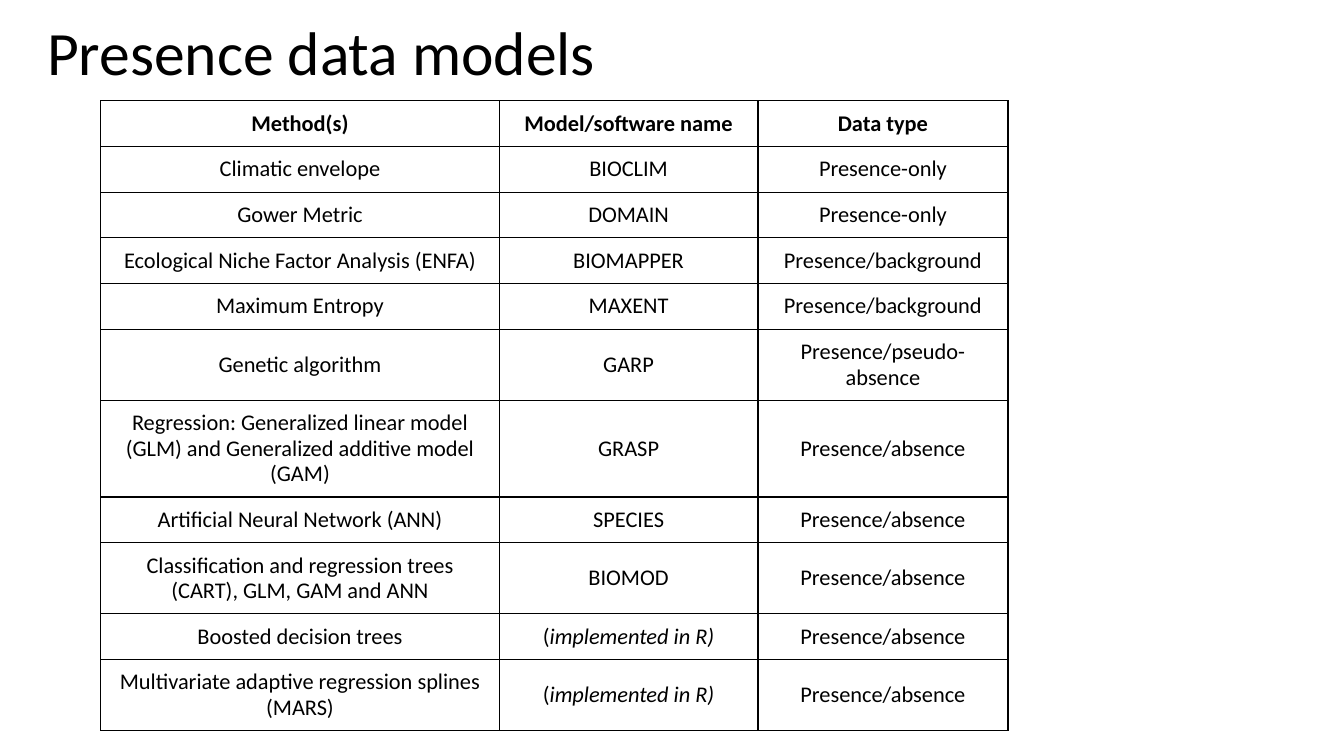
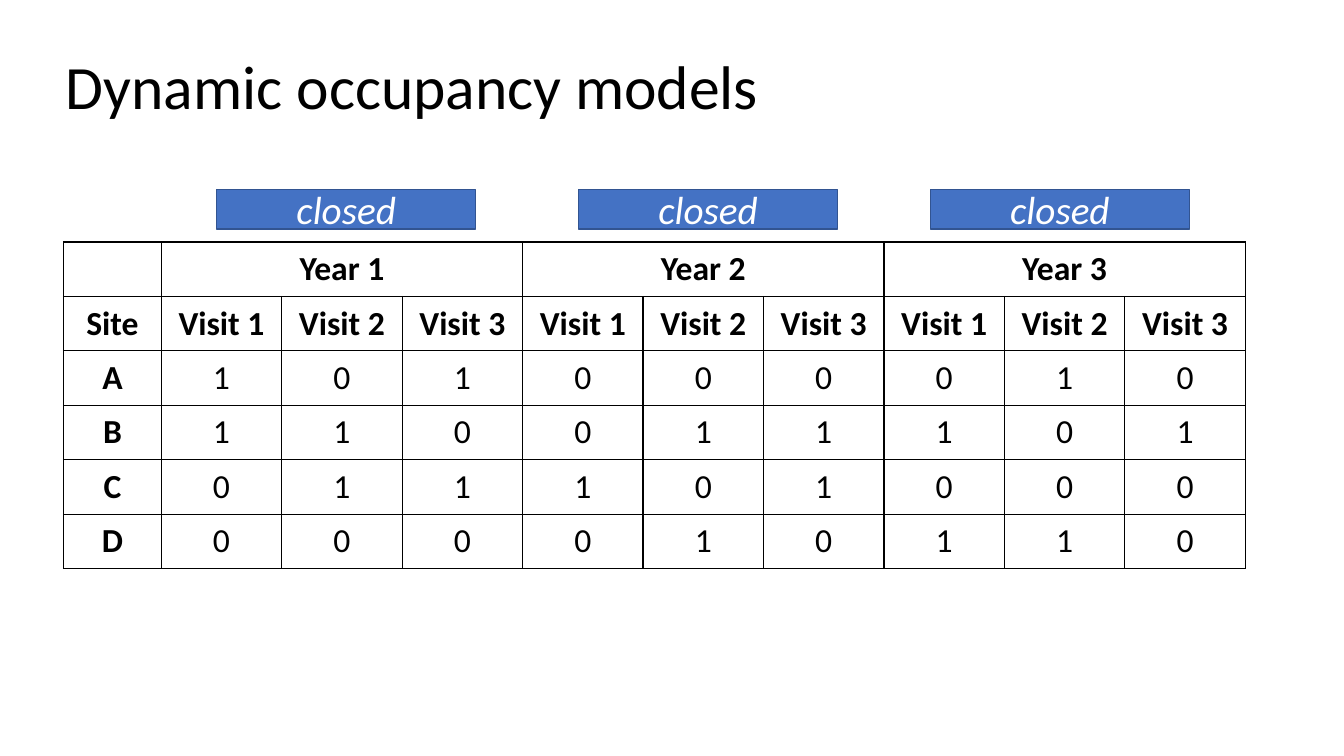
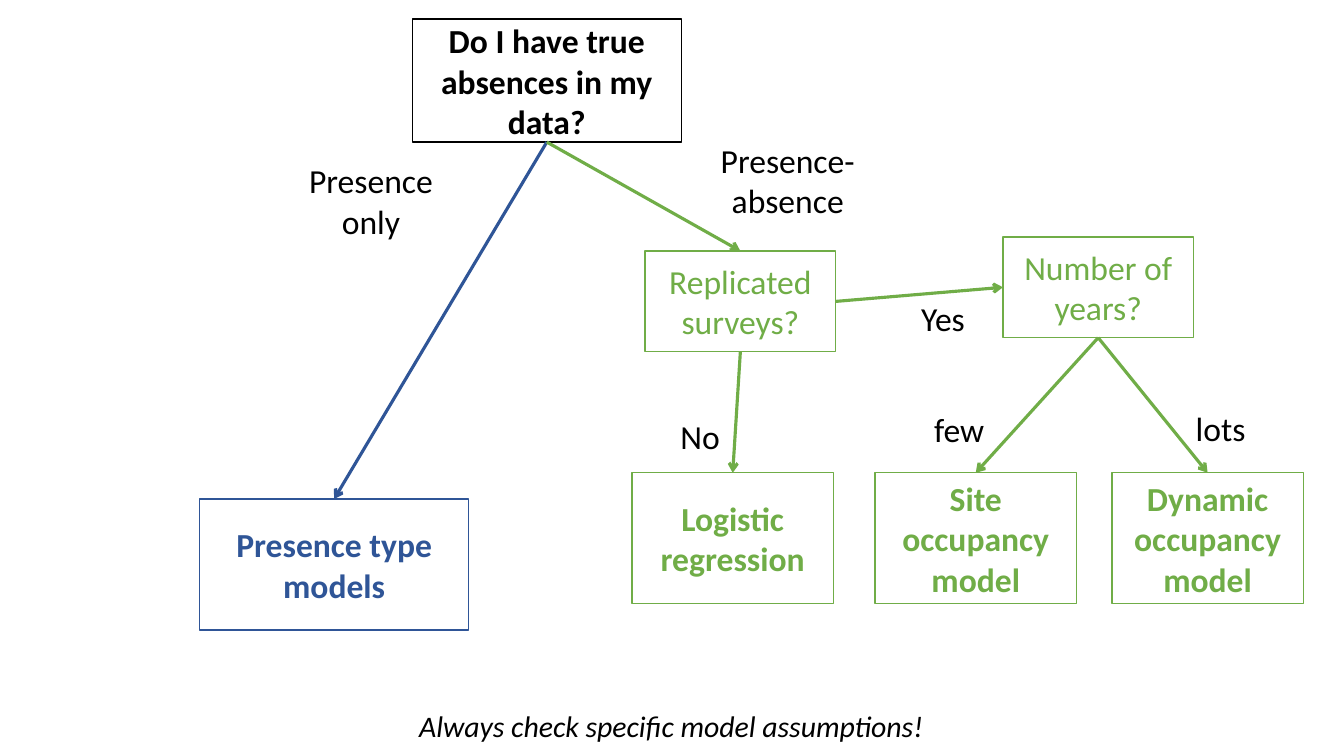
from lxml.etree import SubElement
from pptx import Presentation
from pptx.dml.color import RGBColor
from pptx.enum.shapes import MSO_CONNECTOR, MSO_SHAPE
from pptx.enum.text import MSO_ANCHOR, MSO_AUTO_SIZE, PP_ALIGN
from pptx.oxml import parse_xml
from pptx.oxml.ns import nsdecls, qn
from pptx.util import Pt

BLACK = RGBColor(0x00, 0x00, 0x00)
WHITE = RGBColor(0xFF, 0xFF, 0xFF)
BLUE = RGBColor(0x44, 0x72, 0xC4)
EDGE = RGBColor(0x32, 0x54, 0x91)
NAVY = RGBColor(0x2F, 0x55, 0x97)
GREEN = RGBColor(0x70, 0xAD, 0x47)

TITLE = {"word_wrap": True, "auto_size": MSO_AUTO_SIZE.NONE,
         "vertical_anchor": MSO_ANCHOR.MIDDLE, "margin_left": Pt(9.6),
         "margin_right": Pt(9.6), "margin_top": Pt(4.8), "margin_bottom": Pt(4.8)}
BOX = {"word_wrap": True, "vertical_anchor": MSO_ANCHOR.MIDDLE}
LABEL = {"word_wrap": True, "auto_size": MSO_AUTO_SIZE.SHAPE_TO_FIT_TEXT,
         "margin_left": Pt(9.6), "margin_right": Pt(9.6)}


def put(frame, text, size, color=BLACK, bold=False, italic=False,
        align=PP_ALIGN.CENTER, space=1.0, look=None):
    """Write text into a frame; a tuple gives a plain part, then an italic one."""
    for key, value in (look or {}).items():
        setattr(frame, key, value)
    para = frame.paragraphs[0]
    para.alignment, para.line_spacing = align, space
    parts = text if isinstance(text, tuple) else (text,)
    for spot, part in enumerate(parts):
        run = para.add_run()
        run.text = part
        form = {"name": "Calibri", "size": Pt(size), "bold": bold,
                "italic": italic or spot > 0}
        for key, value in form.items():
            setattr(run.font, key, value)
        run.font.color.rgb = color


def grid(slide, left, top, wides, highs, pad):
    """Add a plain table with thin black borders."""
    table = slide.shapes.add_table(len(highs), len(wides), Pt(left), Pt(top),
                                   Pt(sum(wides)), Pt(sum(highs))).table
    table.first_row = table.horz_banding = False
    for col, wide in zip(table.columns, wides):
        col.width = Pt(wide)
    for row, high in zip(table.rows, highs):
        row.height = Pt(high)
    form = {"vertical_anchor": MSO_ANCHOR.MIDDLE,
            "margin_left": Pt(pad[0]), "margin_right": Pt(pad[0]),
            "margin_top": Pt(pad[1]), "margin_bottom": Pt(pad[1])}
    for cell in table.iter_cells():
        for key, value in form.items():
            setattr(cell, key, value)
        cell.fill.background()
        props = cell._tc.get_or_add_tcPr()
        for spot, side in enumerate("LRTB"):
            props.insert(spot, parse_xml(
                f'<a:ln{side} {nsdecls("a")} w="12700"><a:solidFill>'
                f'<a:srgbClr val="{BLACK}"/></a:solidFill></a:ln{side}>'))
    return table


deck = Presentation()
deck.slide_width, deck.slide_height = Pt(960), Pt(540)

# Slides with their titles
heads = [("Presence data models", (24, -5, 864, 90)),
         ("Dynamic occupancy models", (37.4, 11.5, 828, 104.4))]
pages = []
for text, place in heads:
    page = deck.slides.add_slide(deck.slide_layouts[5])
    title = page.shapes.title
    title.left, title.top, title.width, title.height = map(Pt, place)
    put(title.text_frame, text, 44, align=PP_ALIGN.LEFT, space=0.9, look=TITLE)
    pages.append(page)
models, visits = pages

# Slide 1: table of methods, each with its number of text lines
CODE = ("(", "implemented in R)")
rows = [
    (1, "Method(s)", "Model/software name", "Data type"),
    (1, "Climatic envelope", "BIOCLIM", "Presence-only"),
    (1, "Gower Metric", "DOMAIN", "Presence-only"),
    (1, "Ecological Niche Factor Analysis (ENFA)", "BIOMAPPER", "Presence/background"),
    (1, "Maximum Entropy", "MAXENT", "Presence/background"),
    (2, "Genetic algorithm", "GARP", "Presence/pseudo-absence"),
    (3, "Regression: Generalized linear model (GLM) and Generalized additive model (GAM)",
     "GRASP", "Presence/absence"),
    (1, "Artificial Neural Network (ANN)", "SPECIES", "Presence/absence"),
    (2, "Classification and regression trees (CART), GLM, GAM and ANN",
     "BIOMOD", "Presence/absence"),
    (1, "Boosted decision trees", CODE, "Presence/absence"),
    (2, "Multivariate adaptive regression splines (MARS)", CODE, "Presence/absence"),
]
highs = [14.4 + 18.2 * row[0] for row in rows]
table = grid(models, 72, 72, [284.6, 184.8, 178.6], highs, (7.2, 7.2))
for r, row in enumerate(rows):
    for c, text in enumerate(row[1:]):
        put(table.cell(r, c).text_frame, text, 16, bold=r == 0, space=0.93)

# Slide 2: table of visits
table = grid(visits, 45.4, 172.8, [69.8] + [86.04] * 9, [38.9] * 6, (9.6, 4.8))
for year in range(3):
    first = 1 + 3 * year
    table.cell(0, first).merge(table.cell(0, first + 2))
    put(table.cell(0, first).text_frame, f"Year {year + 1}", 24, bold=True)
rows = [["Site"] + [f"Visit {n}" for n in (1, 2, 3)] * 3,
        "A101000010", "B110011101", "C011101000", "D000010110"]
for r, row in enumerate(rows, 1):
    for c, text in enumerate(row):
        put(table.cell(r, c).text_frame, text, 24, bold=r == 1 or c == 0)

# Slide 2: bars above the years
for left in (154.8, 413.3, 664.6):
    bar = visits.shapes.add_shape(MSO_SHAPE.RECTANGLE, Pt(left), Pt(135.4),
                                  Pt(185), Pt(28.1))
    bar.shadow.inherit = False
    bar.fill.solid()
    bar.fill.fore_color.rgb = BLUE
    bar.line.color.rgb, bar.line.width = EDGE, Pt(1)
    put(bar.text_frame, "closed", 28, WHITE, italic=True, look=BOX)

# Slide 3: boxes of the decision tree
tree = deck.slides.add_slide(deck.slide_layouts[6])
nodes = {
    "root": ("Do I have true absences in my data?", BLACK, True, (294.5, 13.7, 192.2, 87.8)),
    "only": ("Presence type models", NAVY, True, (142.6, 356.4, 192.2, 93.6)),
    "years": ("Number of years?", GREEN, False, (716.4, 169.2, 136.1, 72)),
    "site": ("Site occupancy model", GREEN, True, (625, 337.7, 144, 93.6)),
    "dynamic": ("Dynamic occupancy model", GREEN, True, (794.2, 337.7, 136.8, 93.6)),
    "surveys": ("Replicated surveys?", GREEN, False, (460.8, 179.3, 136.1, 72)),
    "logit": ("Logistic regression", GREEN, True, (451.4, 337.7, 144, 93.6)),
}
boxes = {}
for name, (text, color, bold, place) in nodes.items():
    box = tree.shapes.add_shape(MSO_SHAPE.RECTANGLE, *map(Pt, place))
    box.shadow.inherit = False
    box.fill.background()
    box.line.color.rgb, box.line.width = color, Pt(1)
    put(box.text_frame, text, 24, color, bold, look=BOX)
    boxes[name] = box

# Slide 3: arrows between sides (0 top, 1 left, 2 bottom, 3 right)
links = [("root", 2, "only", 0, NAVY), ("root", 2, "surveys", 0, GREEN),
         ("years", 2, "dynamic", 0, GREEN), ("years", 2, "site", 0, GREEN),
         ("surveys", 2, "logit", 0, GREEN), ("surveys", 3, "years", 1, GREEN)]
for start, out, end, side, color in links:
    link = tree.shapes.add_connector(MSO_CONNECTOR.STRAIGHT, 0, 0, 0, 0)
    link.begin_connect(boxes[start], out)
    link.end_connect(boxes[end], side)
    link.line.color.rgb, link.line.width = color, Pt(2.25)
    SubElement(link.line._get_or_add_ln(), qn("a:tailEnd"), type="arrow")
    SubElement(link._element.spPr, qn("a:effectLst"))

# Slide 3: labels and closing remark
labels = [
    ("Presence only", 24, (193.7, 110.9, 142.6, 65.5)),
    ("Presence-absence", 24, (468, 96.5, 189.4, 65.5)),
    ("few", 24, (655.9, 288.7, 58.3, 36)),
    ("lots", 24, (835.9, 288, 72, 36)),
    ("No", 24, (405.4, 293.8, 189.4, 36)),
    ("Yes", 24, (578.9, 209.5, 189.4, 36)),
    ("Always check specific model assumptions!", 21.3, (175.7, 501.8, 607.7, 33.1)),
]
for text, size, place in labels:
    label = tree.shapes.add_textbox(*map(Pt, place))
    put(label.text_frame, text, size, italic=size < 24, look=LABEL)

deck.save("out.pptx")
